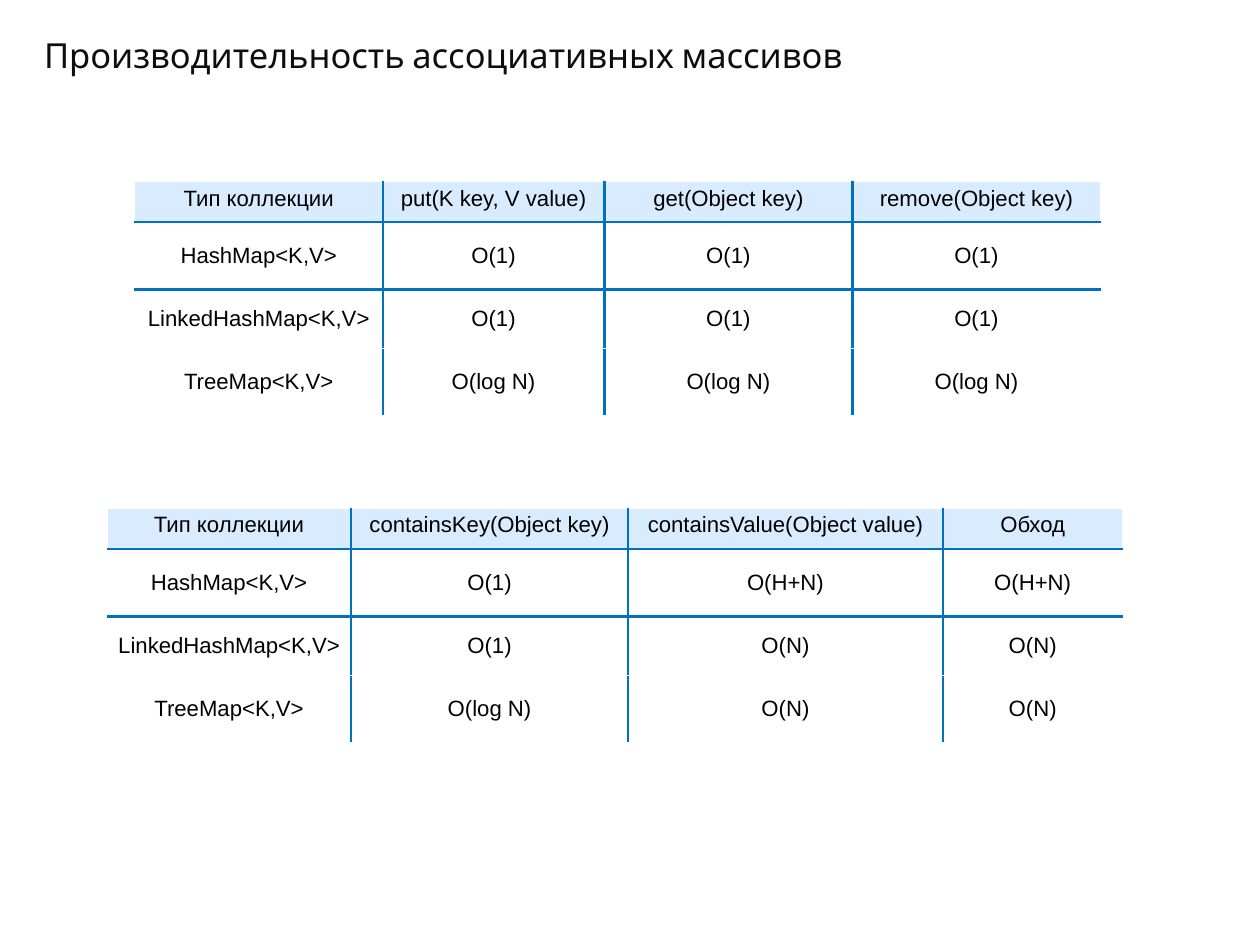
from dataclasses import dataclass
from lxml import etree
from pptx import Presentation
from pptx.dml.color import RGBColor
from pptx.enum import text
from pptx.oxml import ns
from pptx.util import Inches, Pt

TITLE = "Производительность ассоциативных массивов"
KINDS = ["Тип коллекции", "HashMap<K,V>", "LinkedHashMap<K,V>", "TreeMap<K,V>"]
TABLES = [
    {
        "left": 1.52, "top": 2.05, "widths": [2.8, 2.5, 2.8, 2.8],
        "columns": [
            KINDS,
            ["put(K key, V value)", "O(1)", "O(1)", "O(log N)"],
            ["get(Object key)", "O(1)", "O(1)", "O(log N)"],
            ["remove(Object key)", "O(1)", "O(1)", "O(log N)"],
        ],
    },
    {
        "left": 1.21, "top": 5.74, "widths": [2.75, 3.13, 3.55, 2.03],
        "columns": [
            KINDS,
            ["containsKey(Object key)", "O(1)", "O(1)", "O(log N)"],
            ["containsValue(Object value)", "O(H+N)", "O(N)", "O(N)"],
            ["Обход", "O(H+N)", "O(N)", "O(N)"],
        ],
    },
]
ROW_HEIGHTS = [0.46, 0.76, 0.67, 0.75]


@dataclass(frozen=True)
class Theme:
    title_font: str = "Cabin"
    table_font: str = "Arial"
    title_size: float = 28
    table_size: float = 18
    title_color: str = "0D0D0D"
    table_color: str = "000000"
    header_fill: str = "D9ECFF"
    body_fill: str = "FFFFFF"
    rule: tuple = ("0070C0", 2.25)
    edge: tuple = ("FFFFFF", 1)


theme = Theme()


def apply(target, values):
    for name, value in values.items():
        setattr(target, name, value)


def write(para, words, font, size, color):
    span = para.add_run()
    span.text = words
    apply(span.font, {"name": font, "size": Pt(size), "bold": False})
    span.font.color.rgb = RGBColor.from_string(color)


def add_border(cell, side, color, width):
    properties = cell._tc.get_or_add_tcPr()
    line = etree.SubElement(properties, ns.qn(f"a:ln{side}"), w=str(Pt(width)))
    fill = etree.SubElement(line, ns.qn("a:solidFill"))
    etree.SubElement(fill, ns.qn("a:srgbClr"), val=color)


def style_cell(cell, row, column, last_column):
    borders = {
        "L": theme.rule if column else theme.edge,
        "R": theme.rule if column < last_column else theme.edge,
    }
    if row < 2:
        borders["T"] = theme.rule if row else theme.edge
    if row == 0:
        borders["B"] = theme.rule
    for side, border in borders.items():
        add_border(cell, side, *border)
    cell.fill.solid()
    color = theme.body_fill if row else theme.header_fill
    cell.fill.fore_color.rgb = RGBColor.from_string(color)
    if row:
        apply(cell, {f"margin_{side}": Inches(0.04)
                     for side in ("left", "top", "right", "bottom")})
        cell.vertical_anchor = text.MSO_ANCHOR.MIDDLE


def add_performance_table(page, left, top, widths, columns):
    frame = page.shapes.add_table(
        len(ROW_HEIGHTS), len(widths), Inches(left), Inches(top),
        Inches(sum(widths)), Inches(sum(ROW_HEIGHTS)))
    table = frame.table
    apply(table, {"first_row": False, "horz_banding": False})
    for row, height in enumerate(ROW_HEIGHTS):
        table.rows[row].height = Inches(height)
    for column, (width, entries) in enumerate(zip(widths, columns)):
        table.columns[column].width = Inches(width)
        for row, words in enumerate(entries):
            cell = table.cell(row, column)
            style_cell(cell, row, column, len(widths) - 1)
            para = cell.text_frame.paragraphs[0]
            para.alignment = text.PP_ALIGN.CENTER
            write(para, words, theme.table_font, theme.table_size, theme.table_color)


deck = Presentation()
apply(deck, {"slide_width": Inches(14.22), "slide_height": Inches(10.67)})
page = deck.slides.add_slide(deck.slide_layouts[6])

box = page.shapes.add_textbox(Inches(0.4), Inches(0.3), Inches(11.03), Inches(0.63))
apply(box.text_frame, {"word_wrap": False, "vertical_anchor": text.MSO_ANCHOR.MIDDLE})
title = box.text_frame.paragraphs[0]
title.alignment = text.PP_ALIGN.LEFT
write(title, TITLE, theme.title_font, theme.title_size, theme.title_color)

for content in TABLES:
    add_performance_table(page, **content)

deck.save("out.pptx")
